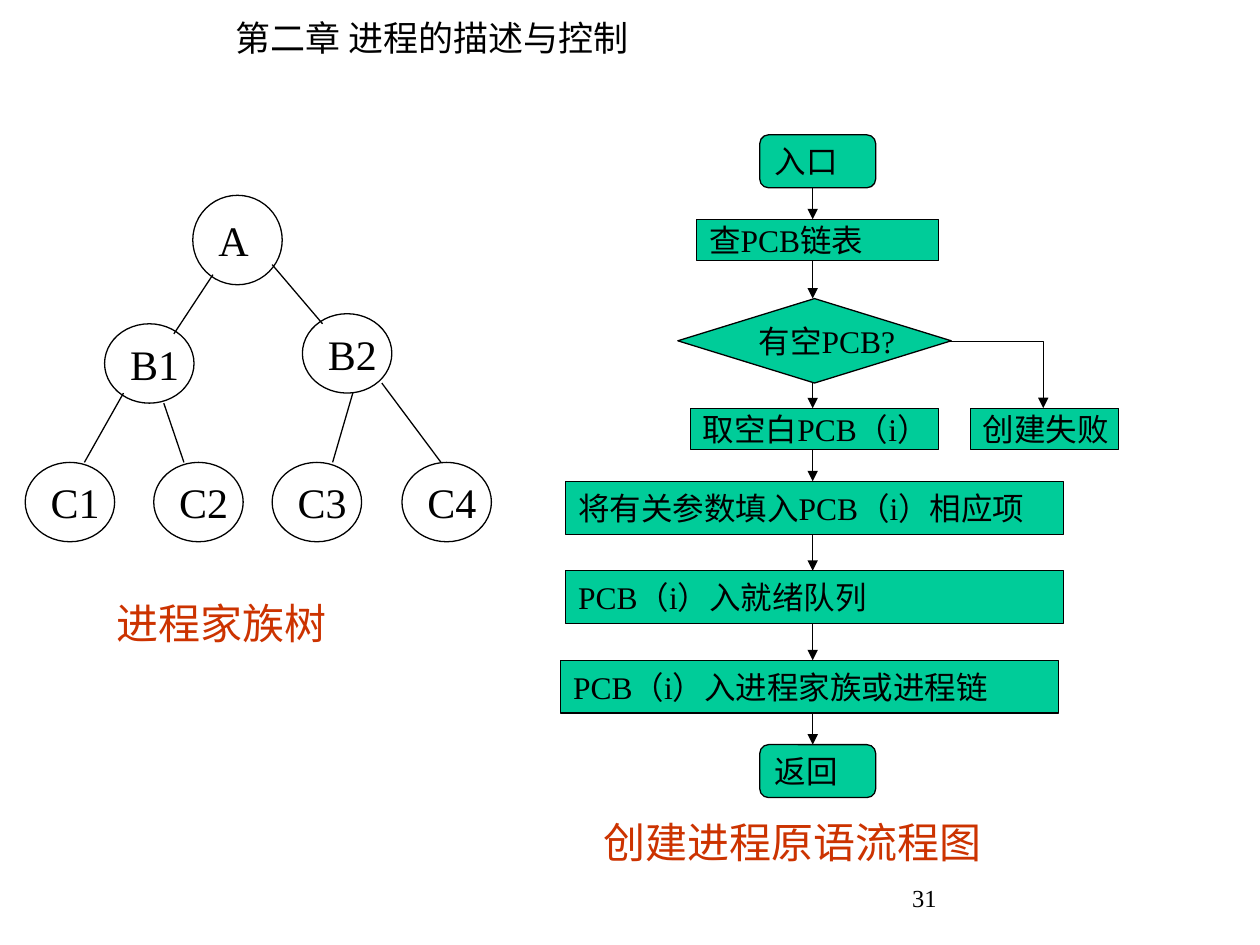
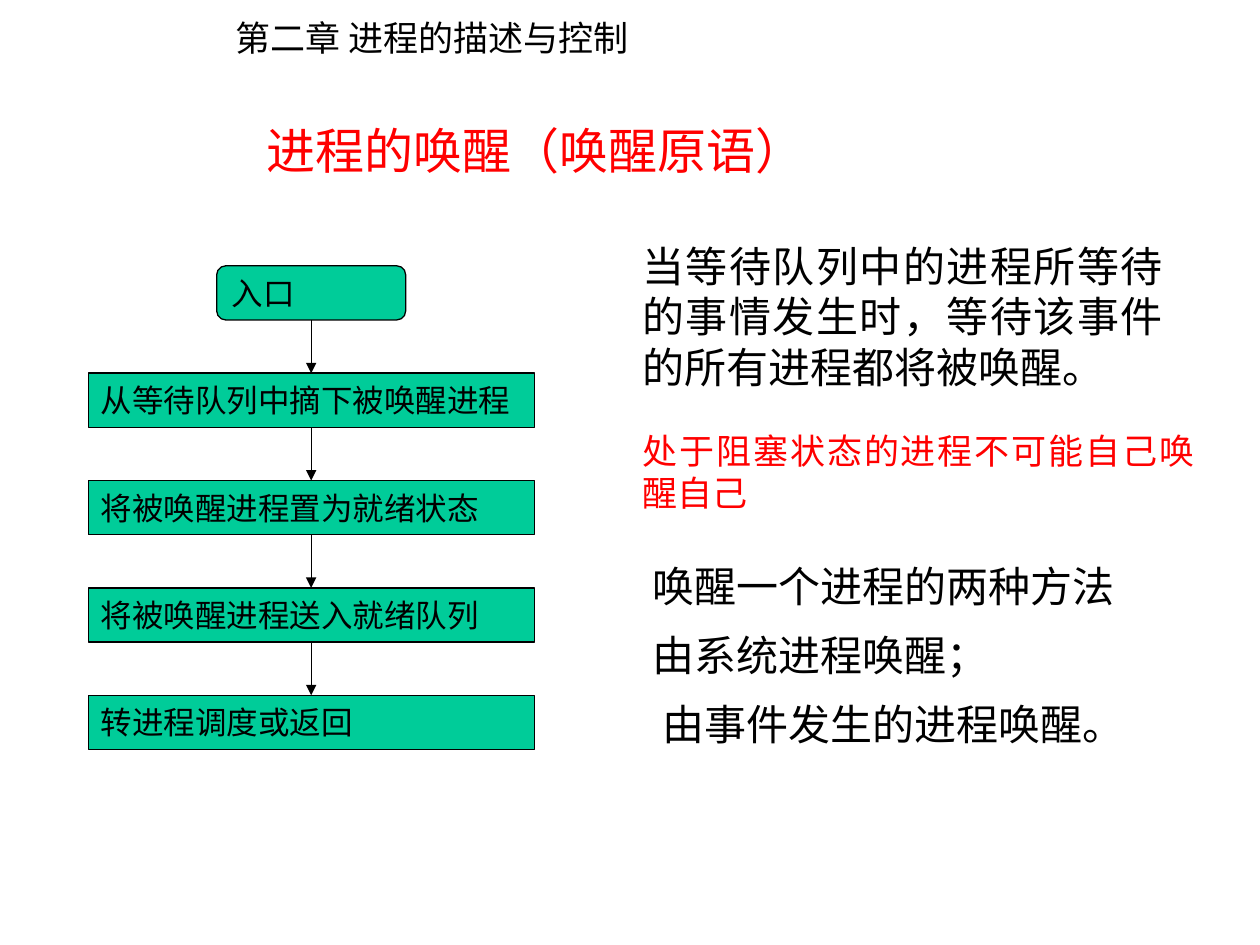
from itertools import pairwise

from pptx import Presentation
from pptx import util as u
from pptx.dml.color import RGBColor
from pptx.enum import shapes, text
from pptx.oxml.ns import qn
from lxml import etree

WIDTH, HEIGHT = u.Inches(10), u.Inches(7.5)
COLUMN, ROW = WIDTH / 100, HEIGHT / 75
BLACK = RGBColor(0x00, 0x00, 0x00)
GREEN = RGBColor(0x00, 0xCC, 0x99)
RUST = RGBColor(0xCC, 0x33, 0x00)
RED = RGBColor(0xFF, 0x00, 0x00)
LATIN, CHINESE = "Times New Roman", "Noto Sans CJK SC"
LEFT, CENTER, JUSTIFY = text.PP_ALIGN.LEFT, text.PP_ALIGN.CENTER, text.PP_ALIGN.JUSTIFY
KIND = shapes.MSO_SHAPE
TERMINAL, DECISION = KIND.FLOWCHART_ALTERNATE_PROCESS, KIND.FLOWCHART_DECISION
CHAPTER = "第二章 进程的描述与控制"


def columns(count):
    return u.Emu(round(count * COLUMN))


def rows(count):
    return u.Emu(round(count * ROW))


def area(left, top, width, height):
    return columns(left), rows(top), columns(width), rows(height)


def write(shape, *lines, size=18, color=BLACK, font=LATIN, align=LEFT, wrap=True,
          anchor=text.MSO_ANCHOR.TOP, spacing=None, before=0):
    frame = shape.text_frame
    frame.word_wrap = wrap
    frame.vertical_anchor = anchor
    for index, line in enumerate(lines):
        paragraph = frame.add_paragraph() if index else frame.paragraphs[0]
        paragraph.alignment = align
        paragraph.line_spacing = spacing
        paragraph.space_before = u.Pt(before if index else 0)
        run = paragraph.add_run()
        run.text = line
        run.font.size = u.Pt(size)
        run.font.color.rgb = color
        run.font.name = font
        east_asian = etree.SubElement(run.font._element, qn("a:ea"))
        east_asian.set("typeface", CHINESE)


def add_text(slide, box, *lines, **style):
    shape = slide.shapes.add_textbox(*area(*box))
    write(shape, *lines, **style)
    return shape


def outline(shape, arrow=False):
    shape.line.color.rgb = BLACK
    shape.line.width = u.Pt(0.75)
    if arrow:
        tail = etree.SubElement(shape.line._get_or_add_ln(), qn("a:tailEnd"))
        tail.set("type", "triangle")


def add_box(slide, kind, box, label, fill=None, size=18):
    shape = slide.shapes.add_shape(kind, *area(*box))
    shape.shadow.inherit = False
    if fill is None:
        shape.fill.background()
    else:
        shape.fill.solid()
        shape.fill.fore_color.rgb = fill
    outline(shape)
    write(shape, label, size=size, wrap=False, anchor=text.MSO_ANCHOR.MIDDLE)


def add_line(slide, start_x, start_y, end_x, end_y, arrow=False):
    line = slide.shapes.add_connector(
        shapes.MSO_CONNECTOR.STRAIGHT,
        columns(start_x), rows(start_y), columns(end_x), rows(end_y))
    outline(line, arrow)
    etree.SubElement(line._element.spPr, qn("a:effectLst"))


def add_elbow_arrow(slide, start, *corners):
    builder = slide.shapes.build_freeform(columns(start[0]), rows(start[1]))
    builder.add_line_segments([(columns(x), rows(y)) for x, y in corners], close=False)
    elbow = builder.convert_to_shape()
    elbow.shadow.inherit = False
    elbow.fill.background()
    outline(elbow, arrow=True)


def add_flow(slide, axis, steps):
    for kind, box, label in steps:
        add_box(slide, kind, box, label, fill=GREEN)
    for (_, upper, _), (_, lower, _) in pairwise(steps):
        add_line(slide, axis, upper[1] + upper[3], axis, lower[1], arrow=True)


def add_tree(slide, nodes, branches):
    for label, box in nodes.items():
        add_box(slide, KIND.OVAL, box, label, size=24)
    for branch in branches:
        add_line(slide, *branch)


def add_slide(presentation, layout):
    slide = presentation.slides.add_slide(presentation.slide_layouts[layout])
    add_text(slide, (17.7, 0.8, 33.8, 4.4), CHAPTER, size=20, font=CHINESE, wrap=False)
    return slide


def build_creation(presentation):
    slide = add_slide(presentation, 6)
    add_text(slide, (71.4, 69.6, 20.8, 5), "31", size=14)
    add_flow(slide, 64.5, [
        (TERMINAL, (60.3, 10.7, 9.2, 4.2), "入口"),
        (KIND.RECTANGLE, (55.3, 17.4, 19.2, 3.3), "查PCB链表"),
        (DECISION, (53.8, 23.7, 21.7, 6.7), "有空PCB?"),
        (KIND.RECTANGLE, (54.8, 32.4, 19.7, 3.3), "取空白PCB（i）"),
        (KIND.RECTANGLE, (44.9, 38.2, 39.5, 4.2), "将有关参数填入PCB（i）相应项"),
        (KIND.RECTANGLE, (44.9, 45.3, 39.5, 4.2), "PCB（i）入就绪队列"),
        (KIND.RECTANGLE, (44.5, 52.4, 39.5, 4.2), "PCB（i）入进程家族或进程链"),
        (TERMINAL, (60.3, 59.1, 9.2, 4.2), "返回"),
    ])
    add_box(slide, KIND.RECTANGLE, (77, 32.4, 11.8, 3.3), "创建失败", fill=GREEN)
    add_elbow_arrow(slide, (75.3, 27.1), (82.8, 27.1), (82.8, 32.4))

    nodes = {
        "A": (15.3, 15.5, 7.1, 7.1),
        "B1": (8.3, 25.7, 7.1, 6.3),
        "B2": (24, 24.9, 7.1, 6.3),
    }
    for number, left in enumerate((2, 12.2, 21.6, 31.9), 1):
        nodes[f"C{number}"] = (left, 36.7, 7.1, 6.3)
    add_tree(slide, nodes, [
        (16.9, 21.8, 13.8, 26.5),
        (21.6, 21, 25.6, 25.7),
        (9.8, 31.2, 6.7, 36.7),
        (13, 32, 14.6, 36.7),
        (28, 31.2, 26.4, 36.7),
        (30.3, 30.4, 35, 36.7),
    ])
    add_text(slide, (8.3, 46.9, 20.5, 5), "进程家族树", size=24, color=RUST)
    add_text(slide, (46.9, 64.3, 33.1, 5), "创建进程原语流程图", size=24, color=RUST)


def build_wakeup(presentation):
    slide = add_slide(presentation, 5)
    title = slide.shapes.title
    title.left, title.top, title.width, title.height = area(0, 8.6, 85, 6.6)
    write(title, "进程的唤醒（唤醒原语）", size=28, color=RED, align=CENTER,
          anchor=text.MSO_ANCHOR.MIDDLE)

    first_top, pitch, height = 21.1, 8.52, 4.3
    steps = [(TERMINAL, (17.2, first_top, 15, height), "入口")]
    labels = ("从等待队列中摘下被唤醒进程", "将被唤醒进程置为就绪状态",
              "将被唤醒进程送入就绪队列", "转进程调度或返回")
    for position, label in enumerate(labels, 1):
        box = (7, first_top + position * pitch, 35.4, height)
        steps.append((KIND.FLOWCHART_PROCESS, box, label))
    add_flow(slide, 24.7, steps)

    add_text(slide, (50, 18.6, 43.3, 13),
             "当等待队列中的进程所等待的事情发生时，等待该事件的所有进程都将被唤醒。",
             size=24, align=JUSTIFY)
    add_text(slide, (50, 33.6, 45.8, 7.7), "处于阻塞状态的进程不可能自己唤醒自己",
             size=20, color=RED, align=JUSTIFY)
    methods = add_text(slide, (50.8, 44.6, 43.3, 15.4), "唤醒一个进程的两种方法",
                       "由系统进程唤醒；", "由事件发生的进程唤醒。",
                       size=24, align=JUSTIFY, spacing=0.85, before=15)
    last = methods.text_frame.paragraphs[-1]
    last._p.get_or_add_pPr().set("marL", str(columns(0.8)))


def main():
    presentation = Presentation()
    presentation.slide_width, presentation.slide_height = WIDTH, HEIGHT
    build_creation(presentation)
    build_wakeup(presentation)
    presentation.save("out.pptx")


if __name__ == "__main__":
    main()
